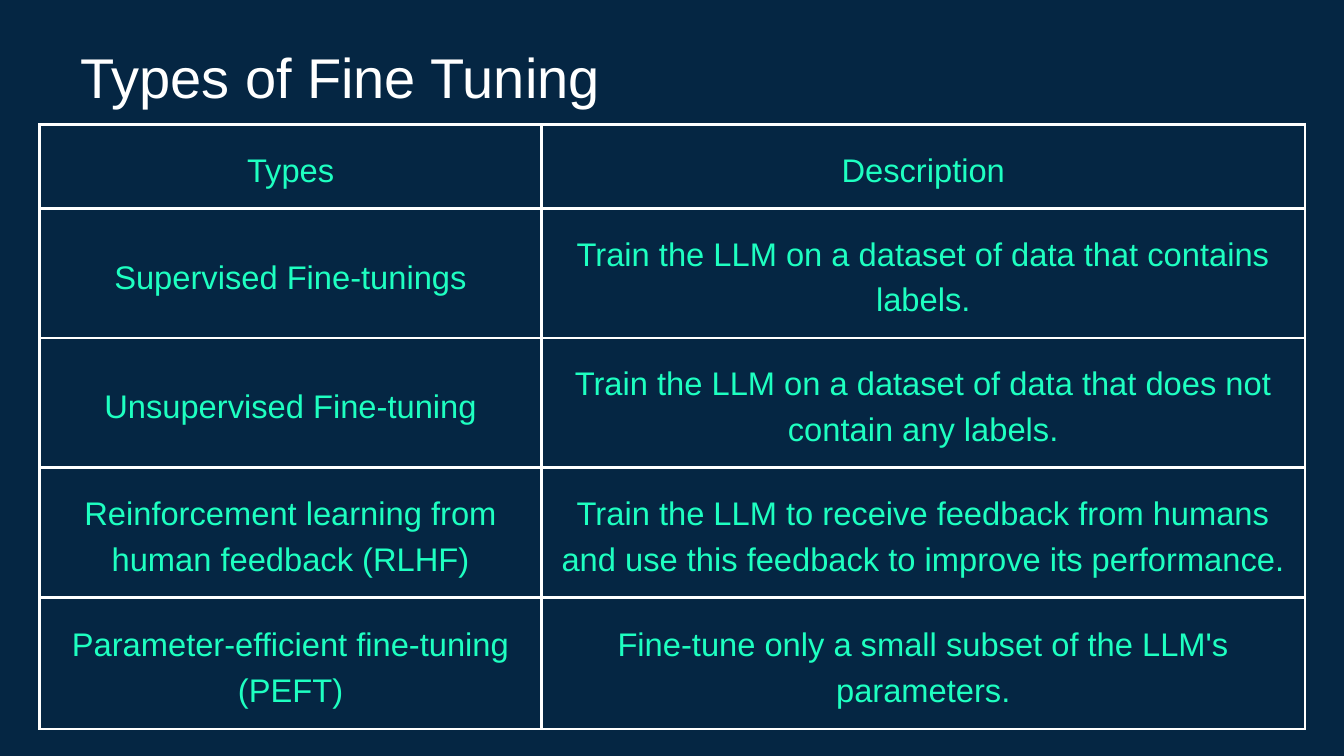
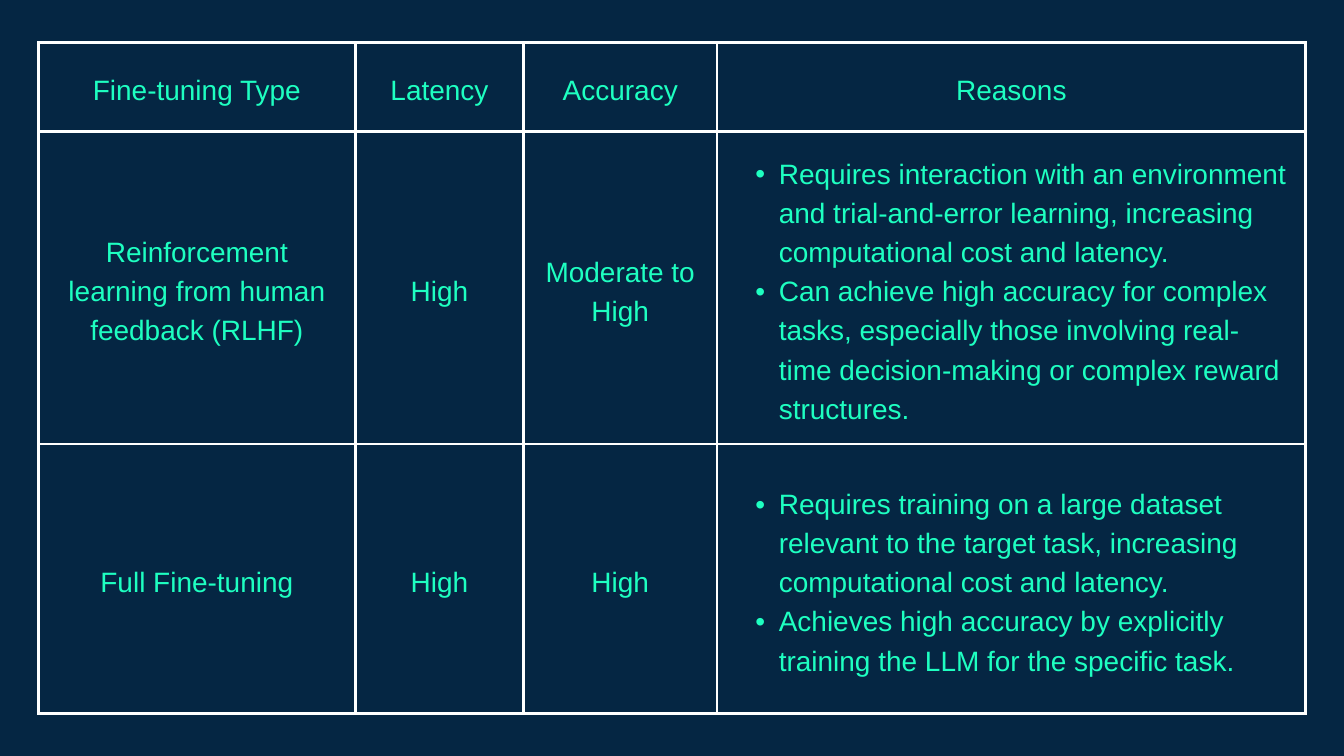
from dataclasses import dataclass

from lxml.etree import SubElement
from pptx import Presentation
from pptx.dml.color import RGBColor
from pptx.enum.text import MSO_ANCHOR, MSO_AUTO_SIZE, PP_ALIGN
from pptx.oxml import parse_xml
from pptx.oxml.ns import nsdecls, qn
from pptx.util import Inches, Pt


@dataclass(frozen=True)
class Theme:
    navy: str = "052643"
    mint: str = "1EFFC1"
    white: str = "FFFFFF"
    font: str = "Arial"
    title_size: int = 60
    types_size: int = 35
    comparison_size: int = 30
    leading: float = 1.4
    border_width: int = 3
    cell_margin: float = 0.21
    bullet_indent: float = 0.71
    bullet_hang: float = 0.35


THEME = Theme()
SLIDE_WIDTH, SLIDE_HEIGHT = Inches(20), Inches(11.25)
GRID_COLUMNS, GRID_ROWS = 20, 11.25

TYPES = [
    ["Types", "Description"],
    ["Supervised Fine-tunings",
     "Train the LLM on a dataset of data that contains labels."],
    ["Unsupervised Fine-tuning",
     "Train the LLM on a dataset of data that does not contain any labels."],
    ["Reinforcement learning from human feedback (RLHF)",
     "Train the LLM to receive feedback from humans and use this feedback "
     "to improve its performance."],
    ["Parameter-efficient fine-tuning (PEFT)",
     "Fine-tune only a small subset of the LLM's parameters."],
]

COMPARISON = [
    ["Fine-tuning Type", "Latency", "Accuracy", "Reasons"],
    ["Reinforcement learning from human feedback (RLHF)", "High", "Moderate to High", [
        "Requires interaction with an environment and trial-and-error learning, "
        "increasing computational cost and latency.",
        "Can achieve high accuracy for complex tasks, especially those involving "
        "real-time decision-making or complex reward structures.",
    ]],
    ["Full Fine-tuning", "High", "High", [
        "Requires training on a large dataset relevant to the target task, "
        "increasing computational cost and latency.",
        "Achieves high accuracy by explicitly training the LLM for the specific task.",
    ]],
]


def across(columns):
    return round(SLIDE_WIDTH * columns / GRID_COLUMNS)


def down(rows):
    return round(SLIDE_HEIGHT * rows / GRID_ROWS)


def apply_format(target, values):
    for attribute, value in values.items():
        setattr(target, attribute, value)


def add_slide(deck):
    slide = deck.slides.add_slide(deck.slide_layouts[6])
    background = slide.background.fill
    background.solid()
    background.fore_color.rgb = RGBColor.from_string(THEME.navy)
    return slide


def write_paragraph(paragraph, wording, size, color, bulleted=False):
    paragraph.text = wording
    if bulleted:
        properties = paragraph._p.get_or_add_pPr()
        properties.set("marL", str(Inches(THEME.bullet_indent)))
        properties.set("indent", str(-Inches(THEME.bullet_hang)))
        SubElement(properties, qn("a:buFont"), typeface=THEME.font)
        SubElement(properties, qn("a:buChar"), char="•")
    apply_format(paragraph, {
        "alignment": PP_ALIGN.LEFT if bulleted else PP_ALIGN.CENTER,
        "level": int(bulleted),
        "line_spacing": Pt(size * THEME.leading),
    })
    font = paragraph.runs[0].font
    apply_format(font, {"name": THEME.font, "size": Pt(size), "bold": False})
    font.color.rgb = RGBColor.from_string(color)


def add_title(slide, wording, left, top, width, height):
    frame = slide.shapes.add_textbox(
        across(left), down(top), across(width), down(height)).text_frame
    apply_format(frame, {
        "margin_left": 0, "margin_right": 0, "margin_top": 0, "margin_bottom": 0,
        "word_wrap": True, "auto_size": MSO_AUTO_SIZE.SHAPE_TO_FIT_TEXT,
    })
    write_paragraph(frame.paragraphs[0], wording, THEME.title_size, THEME.white)


def draw_borders(cell):
    properties = cell._tc.get_or_add_tcPr()
    for position, side in enumerate(("lnL", "lnR", "lnT", "lnB")):
        properties.insert(position, parse_xml(
            f'<a:{side} {nsdecls("a")} w="{Pt(THEME.border_width)}">'
            f'<a:solidFill><a:srgbClr val="{THEME.white}"/></a:solidFill>'
            f'</a:{side}>'))


def fill_cell(cell, content, size):
    margin = Inches(THEME.cell_margin)
    apply_format(cell, {
        "margin_left": margin, "margin_right": margin,
        "margin_top": margin, "margin_bottom": margin,
        "vertical_anchor": MSO_ANCHOR.MIDDLE,
    })
    cell.fill.background()
    draw_borders(cell)
    bulleted = isinstance(content, list)
    frame = cell.text_frame
    for index, wording in enumerate(content if bulleted else [content]):
        paragraph = frame.add_paragraph() if index else frame.paragraphs[0]
        write_paragraph(paragraph, wording, size, THEME.mint, bulleted)


def add_grid(slide, content, left, top, widths, heights, size):
    grid = slide.shapes.add_table(
        len(heights), len(widths), across(left), down(top),
        across(sum(widths)), down(sum(heights))).table
    apply_format(grid, {"first_row": False, "horz_banding": False})
    for column, width in zip(grid.columns, widths):
        column.width = across(width)
    for row, height, entries in zip(grid.rows, heights, content):
        row.height = down(height)
        for cell, entry in zip(row.cells, entries):
            fill_cell(cell, entry, size)


def main():
    deck = Presentation()
    apply_format(deck, {"slide_width": SLIDE_WIDTH, "slide_height": SLIDE_HEIGHT})

    types_slide = add_slide(deck)
    add_grid(types_slide, TYPES, 0.59, 1.85, [7.47, 11.36],
             [1.25] + [1.93] * 3 + [1.96], THEME.types_size)
    add_title(types_slide, "Types of Fine Tuning", 0.81, 0.47, 8.5, 1.16)

    comparison_slide = add_slide(deck)
    add_grid(comparison_slide, COMPARISON, 0.57, 0.63, [4.72, 2.5, 2.88, 8.76],
             [1.33, 4.65, 4.01], THEME.comparison_size)

    deck.save("out.pptx")


if __name__ == "__main__":
    main()
